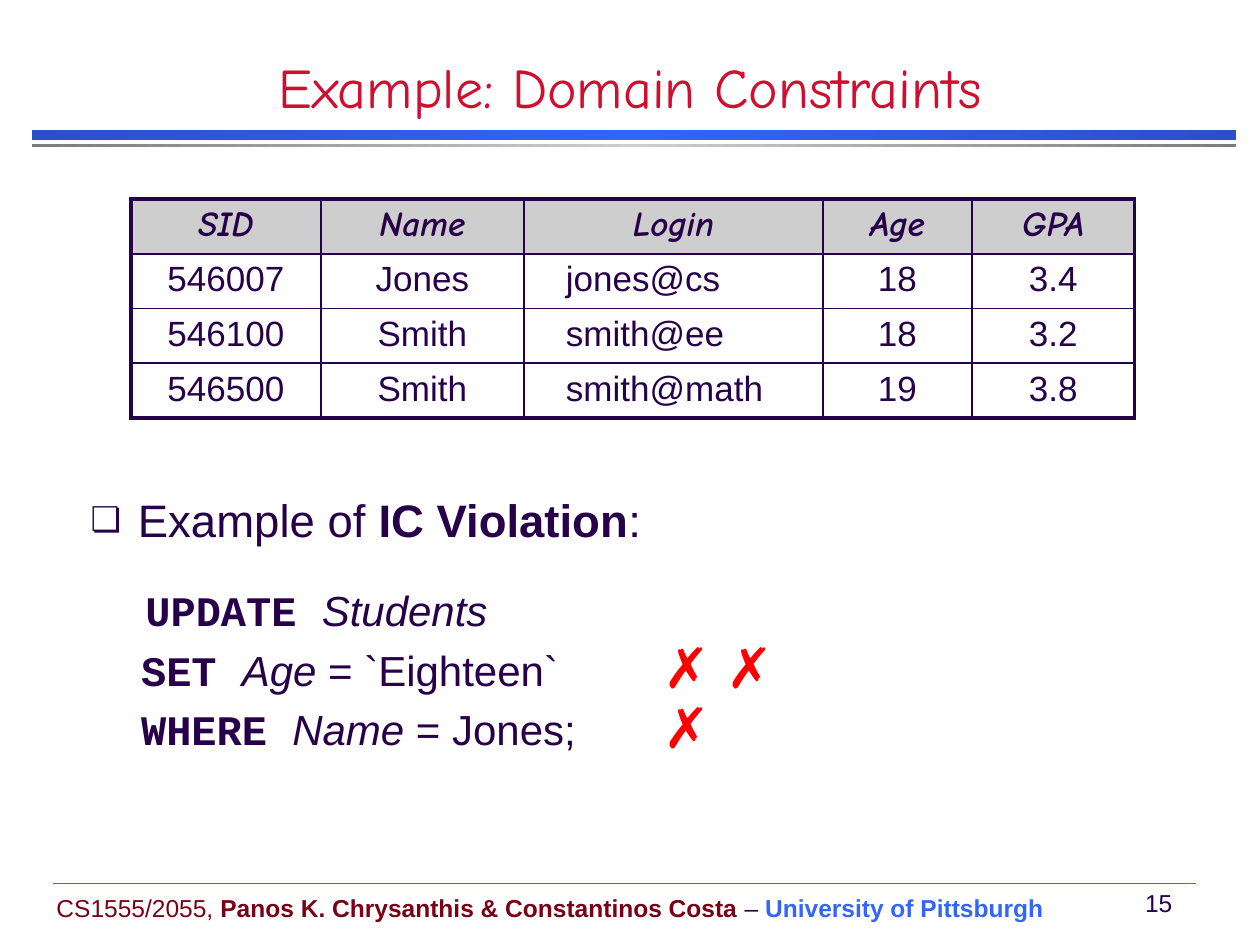
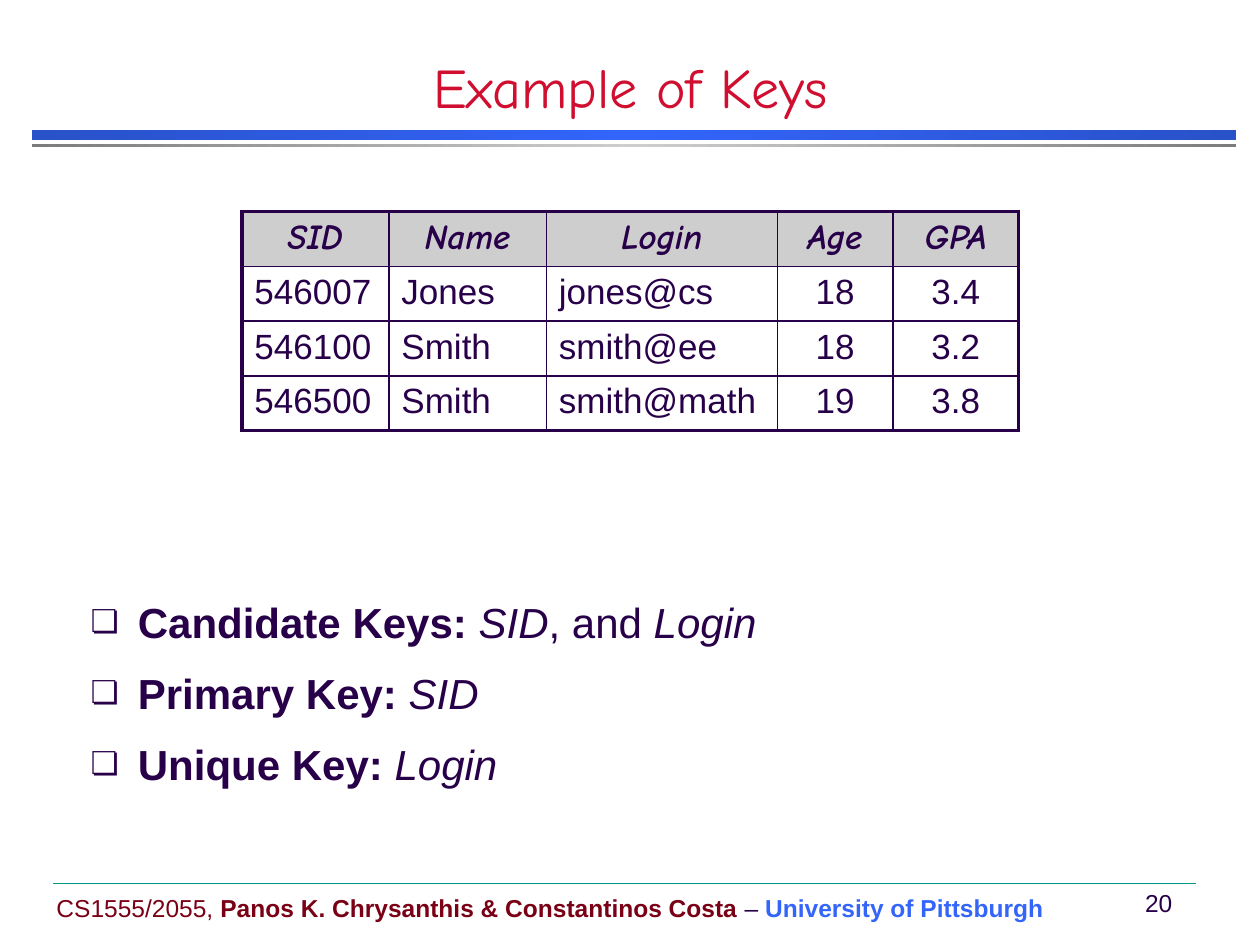
from copy import deepcopy

from lxml import etree
from pptx import Presentation
from pptx.dml.color import RGBColor
from pptx.enum import shapes, text
from pptx.oxml import ns
from pptx.util import Pt

INK, RED, MAROON, BLUE = "280049", "CF0E30", "790015", "3365FB"
GREY, TEAL, CROSS_RED = "CECECE", "009688", "FF0000"
rgb = RGBColor.from_string


def write(paragraph, wording, size=24, font="Arial", color=INK, bold=False, italic=False):
    """Append one formatted run to a paragraph."""
    run = paragraph.add_run()
    run.text = wording
    run.font.size, run.font.name = Pt(size), font
    run.font.bold, run.font.italic = bold, italic
    run.font.color.rgb = rgb(color)


def add_label(slide, left, top, width, height, anchor):
    """Add a wrapping text box and return its first paragraph."""
    frame = slide.shapes.add_textbox(Pt(left), Pt(top), Pt(width), Pt(height)).text_frame
    frame.word_wrap = True
    frame.vertical_anchor = anchor
    return frame.paragraphs[0]


bold, italic = {"bold": True}, {"italic": True}
keyword = {"font": "Courier New", "bold": True}
header_style = {"font": "Comic Neue", "bold": True, "italic": True}

# top, height, edge colour, middle colour
bands = [(74.2, 5.8, "2951C9", BLUE), (82.1, 2.2, "7C7C7C", GREY)]

students = [
    ("SID", "Name", "Login", "Age", "GPA"),
    ("546007", "Jones", "jones@cs", "18", "3.4"),
    ("546100", "Smith", "smith@ee", "18", "3.2"),
    ("546500", "Smith", "smith@math", "19", "3.8"),
]

# Each body line: bulleted, space before, runs
pages = [
    {
        "title": "Example: Domain Constraints", "number": "15",
        "table_at": (74.9, 113.8), "columns": (108.5, 116, 171, 85, 93),
        "left_columns": [2], "login_margin": 24,
        "body_at": (275.8, 228.2), "line_spacing": 1.0,
        "body": [
            (True, 0, [("Example of ", {"size": 26}),
                       ("IC Violation", {"size": 26, "bold": True}), (":", {"size": 26})]),
            (False, 19.7, [("  ", {"size": 26, **keyword}), ("UPDATE ", keyword),
                           ("Students", italic)]),
            (False, 4.8, [("  SET ", keyword), ("Age", italic), (" = `Eighteen`", {})]),
            (False, 4.8, [("  WHERE ", keyword), ("Name", italic), (" = Jones;", {})]),
        ],
    },
    {
        "title": "Example of Keys", "number": "20",
        "table_at": (138.2, 121), "columns": (84, 90, 132, 66, 72),
        "left_columns": [0, 1, 2], "login_margin": 7.2,
        "body_at": (329.8, 131.8), "line_spacing": 1.2,
        "body": [
            (True, 0, [("Candidate Keys: ", bold), ("SID", italic), (", and ", {}),
                       ("Login", italic)]),
            (True, 6, [("Primary Key: ", bold), ("SID", italic)]),
            (True, 6, [("Unique Key: ", bold), ("Login", italic)]),
        ],
    },
]

prs = Presentation()
prs.slide_width, prs.slide_height = Pt(720), Pt(540)

for page in pages:
    slide = prs.slides.add_slide(prs.slide_layouts[1])

    # Bands under the title
    for top, height, edge, middle in bands:
        band = slide.shapes.add_shape(shapes.MSO_SHAPE.RECTANGLE, Pt(18.2), Pt(top), Pt(688), Pt(height))
        band.shadow.inherit = False
        band.line.fill.background()
        band.fill.gradient()
        band.fill.gradient_angle = 0
        stop_list = band._element.spPr.find(".//" + ns.qn("a:gsLst"))
        stop_list.append(deepcopy(stop_list[0]))
        for stop, position, color in zip(band.fill.gradient_stops, (0, 0.5, 1), (edge, middle, edge)):
            stop.position = position
            stop.color.rgb = rgb(color)

    # Footer
    course = add_label(slide, 25.2, 489.6, 584, 41, text.MSO_ANCHOR.BOTTOM)
    write(course, "CS1555/2055, ", size=14, color=MAROON)
    write(course, "Panos K. Chrysanthis & Constantinos Costa ", size=14, color=MAROON, bold=True)
    write(course, "– ", size=14)
    write(course, "University of Pittsburgh", size=14, color=BLUE, bold=True)
    number = add_label(slide, 644.5, 504, 35.3, 23.8, text.MSO_ANCHOR.MIDDLE)
    number.alignment = text.PP_ALIGN.CENTER
    write(number, page["number"], size=14)
    rule = slide.shapes.add_connector(shapes.MSO_CONNECTOR.STRAIGHT, Pt(30.2), Pt(504.7), Pt(683.3), Pt(504.7))
    rule.line.color.rgb = rgb(TEAL)
    rule.line.width = Pt(0.25)
    etree.SubElement(rule._element.spPr, ns.qn("a:effectLst"))

    # Title
    title = slide.shapes.title
    title.left, title.top, title.width, title.height = Pt(45.4), Pt(30.2), Pt(630), Pt(41.8)
    title.text_frame.vertical_anchor = text.MSO_ANCHOR.BOTTOM
    title.text_frame.auto_size = text.MSO_AUTO_SIZE.NONE
    heading = title.text_frame.paragraphs[0]
    heading.alignment = text.PP_ALIGN.CENTER
    write(heading, page["title"], size=32, font="Comic Neue", color=RED)

    # Students table
    left, top = page["table_at"]
    rows, columns = len(students), len(page["columns"])
    grid = slide.shapes.add_table(rows, columns, Pt(left), Pt(top),
                                  Pt(sum(page["columns"])), Pt(31.1 * rows)).table
    grid.first_row = grid.horz_banding = False
    for column, width in zip(grid.columns, page["columns"]):
        column.width = Pt(width)
    for r, record in enumerate(students):
        grid.rows[r].height = Pt(31.1)
        for c, value in enumerate(record):
            cell = grid.cell(r, c)
            outer_sides = {"lnL": c == 0, "lnR": c == columns - 1, "lnT": r == 0, "lnB": r == rows - 1}
            for side, outer in outer_sides.items():
                border = etree.SubElement(cell._tc.get_or_add_tcPr(), ns.qn("a:" + side),
                                          w=str(Pt(2.25 if outer else 1)))
                ink = etree.SubElement(border, ns.qn("a:solidFill"))
                etree.SubElement(ink, ns.qn("a:srgbClr"), val=INK)
            if r == 0:
                cell.fill.solid()
                cell.fill.fore_color.rgb = rgb(GREY)
            else:
                cell.fill.background()
            entry = cell.text_frame.paragraphs[0]
            aligned_left = r > 0 and c in page["left_columns"]
            entry.alignment = text.PP_ALIGN.LEFT if aligned_left else text.PP_ALIGN.CENTER
            if r > 0 and c == 2:
                cell.margin_left = Pt(page["login_margin"])
            write(entry, value, size=20, **(header_style if r == 0 else {}))

    # Body list
    body = slide.placeholders[1]
    top, height = page["body_at"]
    body.left, body.top, body.width, body.height = Pt(44.6), Pt(top), Pt(630), Pt(height)
    frame = body.text_frame
    frame.auto_size = text.MSO_AUTO_SIZE.NONE
    frame.margin_top = Pt(5.5)
    for i, (bulleted, space_before, runs) in enumerate(page["body"]):
        line = frame.add_paragraph() if i else frame.paragraphs[0]
        props = line._p.get_or_add_pPr()
        props.set("marL", str(Pt(27)))
        props.set("indent", str(Pt(-27)))
        if bulleted:
            bullet_color = etree.SubElement(props, ns.qn("a:buClr"))
            etree.SubElement(bullet_color, ns.qn("a:srgbClr"), val=INK)
            etree.SubElement(props, ns.qn("a:buSzPct"), val="75000")
            etree.SubElement(props, ns.qn("a:buChar"), char="❏")
        else:
            etree.SubElement(props, ns.qn("a:buNone"))
        line.space_before = Pt(space_before)
        line.line_spacing = page["line_spacing"]
        for wording, style in runs:
            write(line, wording, **style)

# Violation marks beside the update statement
crosses = add_label(prs.slides[0], 372.2, 362.2, 95.8, 45.4, text.MSO_ANCHOR.TOP)
crosses.line_spacing = 0.9
write(crosses, "✗ ✗ ✗", size=32, color=CROSS_RED)

prs.save("out.pptx")
